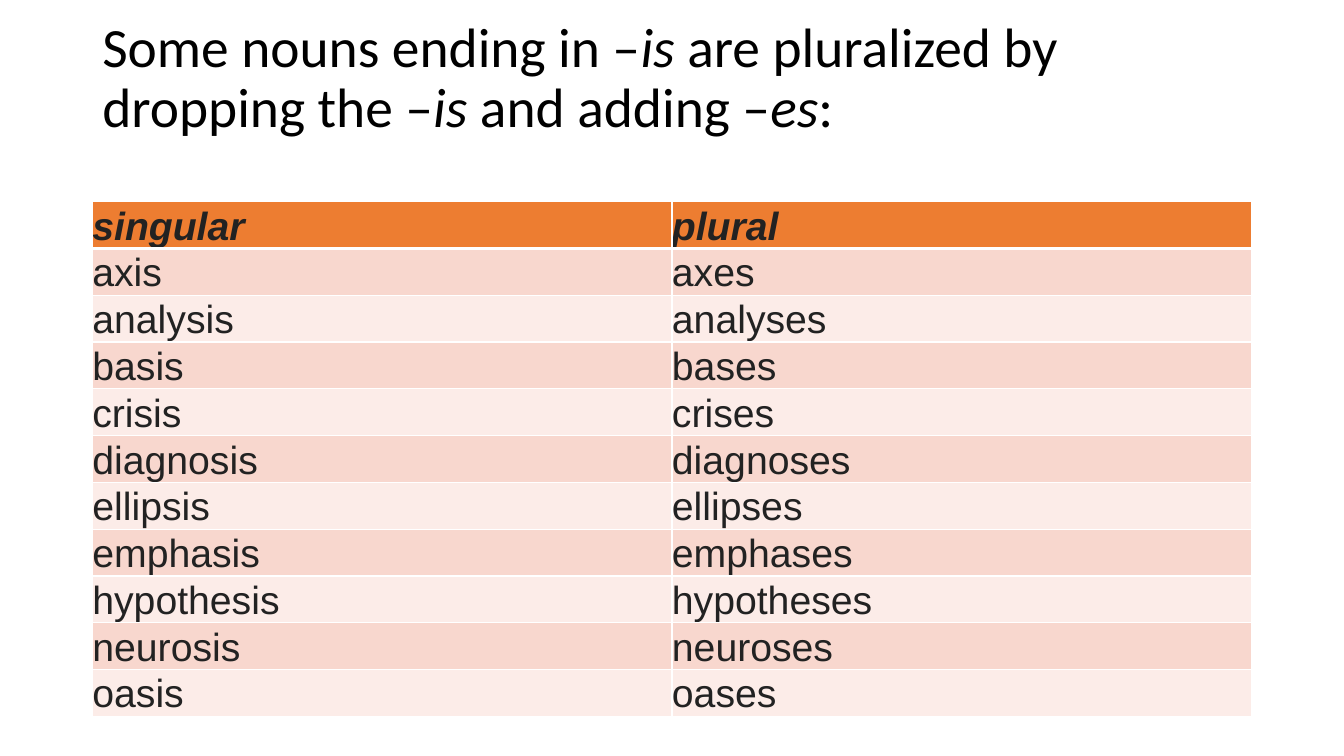
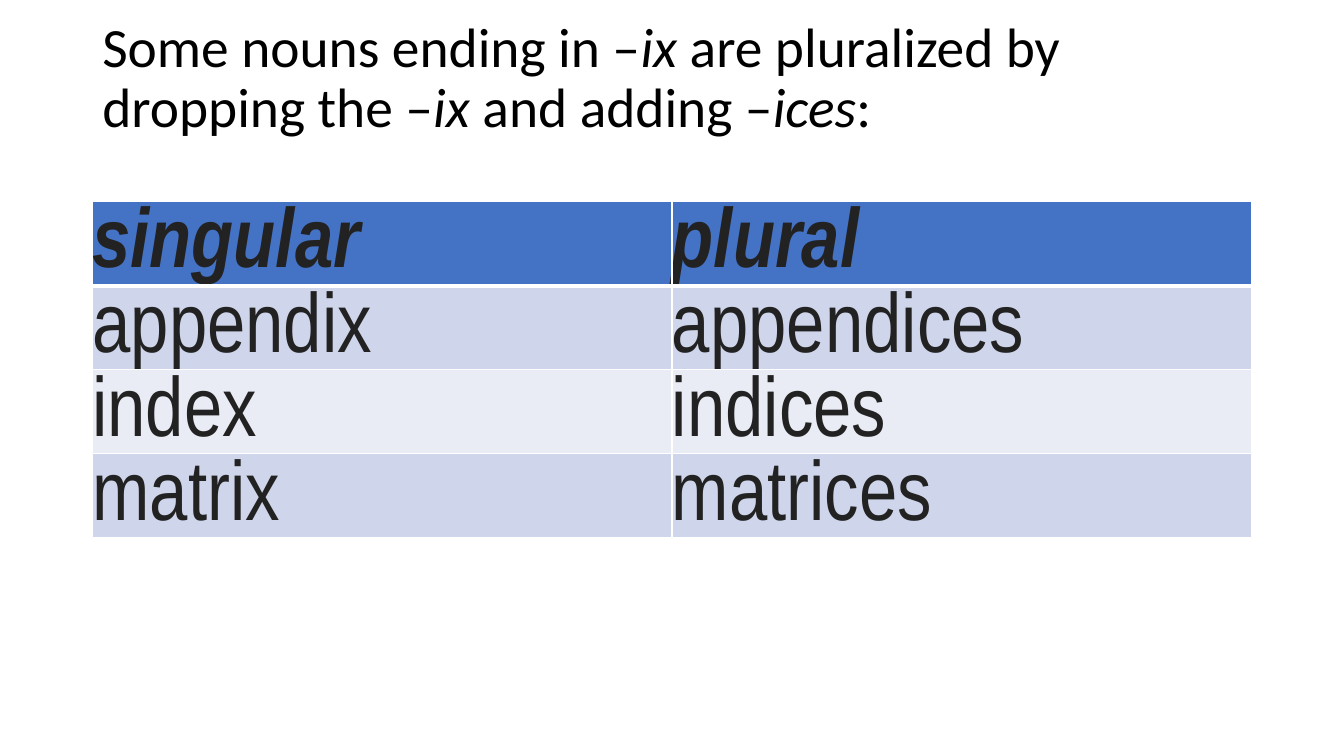
from dataclasses import dataclass

from pptx import Presentation
from pptx.dml.color import RGBColor
from pptx.enum.text import MSO_ANCHOR
from pptx.oxml.xmlchemy import OxmlElement
from pptx.util import Length, Pt

# Shared style
WHITE, BLACK, INK = "FFFFFF", "000000", "222222"
LEFT, WIDTH = 66, 828
HEAD = ("singular", "plural")


@dataclass
class Lesson:
    title: str  # asterisks enclose italics
    font: str
    size: float
    row: float
    head: str
    bands: tuple[str, str]
    words: list[tuple[str, str]]


LESSONS = [
    Lesson(
        "Some nouns ending in –*is* are pluralized by dropping the –*is* and adding –*es*:",
        "Arial", 28, 33.4, "ED7D31", ("F8D7CE", "FCECE8"),
        [("axis", "axes"), ("analysis", "analyses"), ("basis", "bases"),
         ("crisis", "crises"), ("diagnosis", "diagnoses"),
         ("ellipsis", "ellipses"), ("emphasis", "emphases"),
         ("hypothesis", "hypotheses"), ("neurosis", "neuroses"),
         ("oasis", "oases")],
    ),
    Lesson(
        "Some nouns ending in –*ix* are pluralized by dropping the –*ix* and adding –*ices*:",
        "Arial Narrow", 60, 60, "4472C4", ("CFD5EA", "E9EBF5"),
        [("appendix", "appendices"), ("index", "indices"),
         ("matrix", "matrices")],
    ),
]


def color(code: str) -> RGBColor:
    return RGBColor.from_string(code)


def write(frame, text: str, *, font: str, size: float, ink: str,
          bold: bool = False, slant: bool = False,
          line: float | Length = 1.0) -> None:
    """Fill a text frame; text between asterisks turns italic."""
    para = frame.paragraphs[0]
    para.line_spacing = line
    for n, part in enumerate(text.split("*")):
        run = para.add_run()
        run.text = part
        run.font.name, run.font.size = font, Pt(size)
        run.font.bold = bold
        run.font.italic = slant or n % 2 == 1
        run.font.color.rgb = color(ink)


def edge(cell, top: float, bottom: float) -> None:
    """Draw white borders with the given top and bottom widths."""
    props = cell._tc.get_or_add_tcPr()
    for side, width in zip("LRTB", (1, 1, top, bottom)):
        rule = OxmlElement(f"a:ln{side}")
        rule.set("w", str(Pt(width)))
        fill = OxmlElement("a:solidFill")
        tint = OxmlElement("a:srgbClr")
        tint.set("val", WHITE)
        fill.append(tint)
        rule.append(fill)
        props.append(rule)


def add_title(slide, text: str) -> None:
    box = slide.shapes.add_textbox(Pt(LEFT), Pt(28.8), Pt(WIDTH), Pt(104.4))
    frame = box.text_frame
    frame.word_wrap = True
    frame.vertical_anchor = MSO_ANCHOR.MIDDLE
    frame.margin_bottom = Pt(51.5)  # lifts the title clear of the table
    write(frame, text, font="Calibri", size=39.6, ink=BLACK, line=0.9)


def add_words(slide, item: Lesson) -> None:
    rows = [HEAD, *item.words]
    table = slide.shapes.add_table(
        len(rows), len(HEAD), Pt(LEFT), Pt(144), Pt(WIDTH),
        Pt(item.row * len(rows))
    ).table
    for r, pair in enumerate(rows):
        table.rows[r].height = Pt(item.row)
        first = r == 0
        shade = item.head if first else item.bands[(r - 1) % 2]
        for c, word in enumerate(pair):
            cell = table.cell(r, c)
            cell.margin_left = cell.margin_right = 0
            cell.margin_top = cell.margin_bottom = 0
            edge(cell, top=3 if r == 1 else 1, bottom=3 if first else 1)
            cell.fill.solid()
            cell.fill.fore_color.rgb = color(shade)
            write(cell.text_frame, word, font=item.font, size=item.size,
                  ink=INK, bold=first, slant=first, line=Pt(item.row))


def main() -> None:
    deck = Presentation()
    deck.slide_width, deck.slide_height = Pt(960), Pt(540)
    for item in LESSONS:
        slide = deck.slides.add_slide(deck.slide_layouts[6])
        add_title(slide, item.title)
        add_words(slide, item)
    deck.save("out.pptx")


if __name__ == "__main__":
    main()
